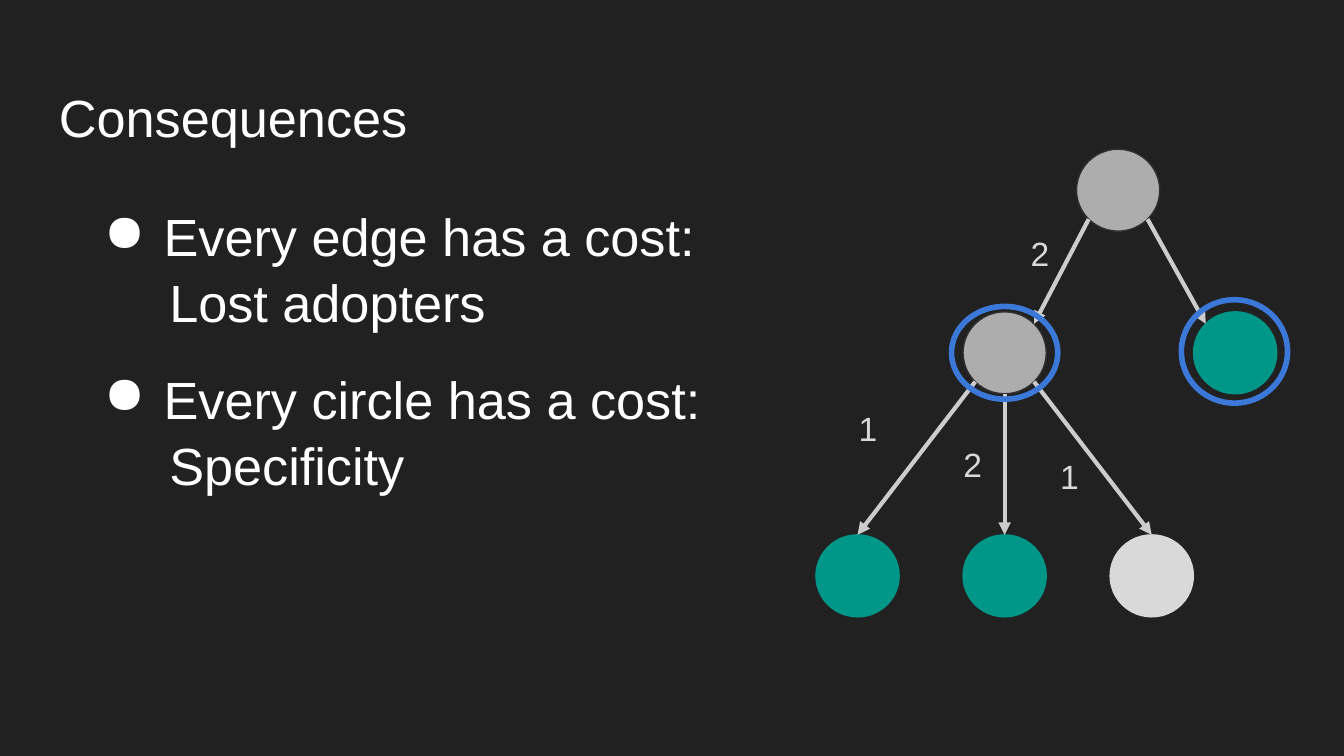
import math

import pptx
import pptx.dml.color
import pptx.enum.shapes
import pptx.enum.text
import pptx.oxml
import pptx.oxml.ns
import pptx.util

Pt = pptx.util.Pt
SHAPES = pptx.enum.shapes.MSO_SHAPE
ANCHORS = pptx.enum.text.MSO_ANCHOR

COLOURS = {
    "background": "212121",
    "text": "FFFFFF",
    "label": "D9D9D9",
    "inner": "ADADAD",
    "inner_line": "303030",
    "chosen": "009688",
    "other": "D9D9D9",
    "edge": "CCCCCC",
    "ring": "3C78D8",
}
NODE_WIDTH, NODE_HEIGHT = 44.6, 43.9


def colour(name):
    return pptx.dml.color.RGBColor.from_string(COLOURS[name])


def add_xml(parent, tag, **attributes):
    element = pptx.oxml.parse_xml(f"<a:{tag} {pptx.oxml.ns.nsdecls('a')}/>")
    for name, value in attributes.items():
        element.set(name, str(value))
    parent.append(element)
    return element


def write(paragraph, text, size=28, ink="text", spacing=1.0, margin=0, bullet=None):
    """Fill a paragraph; a bullet hangs to the left of the margin."""
    run = paragraph.add_run()
    run.text = text
    run.font.size = Pt(size)
    run.font.name = "Arial"
    run.font.color.rgb = colour(ink)
    paragraph.line_spacing = spacing
    properties = paragraph._p.get_or_add_pPr()
    properties.set("marL", str(Pt(margin)))
    properties.set("indent", str(Pt(-32 if bullet else 0)))
    if bullet:
        add_xml(add_xml(properties, "buClr"), "srgbClr", val=COLOURS[ink])
        add_xml(properties, "buChar", char=bullet)


class SlideBuilder:
    def __init__(self, slide):
        self.slide = slide
        slide.background.fill.solid()
        slide.background.fill.fore_color.rgb = colour("background")

    def text(self, left, top, width, height, lines, anchor=ANCHORS.TOP, inset_top=7.2):
        """Add a text box; lines holds pairs of text and format."""
        box = self.slide.shapes.add_textbox(Pt(left), Pt(top), Pt(width), Pt(height))
        frame = box.text_frame
        frame.word_wrap = True
        frame.vertical_anchor = anchor
        frame.margin_left = frame.margin_right = frame.margin_bottom = Pt(7.2)
        frame.margin_top = Pt(inset_top)
        for index, (line, style) in enumerate(lines):
            paragraph = frame.add_paragraph() if index else frame.paragraphs[0]
            write(paragraph, line, **style)

    def oval(self, centre, width, height, line, line_width, fill=None, kind=SHAPES.OVAL):
        x, y = centre
        shape = self.slide.shapes.add_shape(
            kind, Pt(x - width / 2), Pt(y - height / 2), Pt(width), Pt(height))
        shape.shadow.inherit = False
        if fill:
            shape.fill.solid()
            shape.fill.fore_color.rgb = colour(fill)
        else:
            shape.fill.background()
        shape.line.color.rgb = colour(line)
        shape.line.width = Pt(line_width)
        return shape

    def arrow(self, start, end, target=None):
        connector = self.slide.shapes.add_connector(
            pptx.enum.shapes.MSO_CONNECTOR.STRAIGHT, *(Pt(value) for value in start + end))
        if target is not None:
            connector.end_connect(target, 0)
        connector.line.color.rgb = colour("edge")
        connector.line.width = Pt(2.25)
        add_xml(connector.line._get_or_add_ln(), "tailEnd", type="triangle")
        add_xml(connector._element.spPr, "effectLst")


def rim(centre, degrees):
    """Point on a node's outline, clockwise from the right."""
    angle = math.radians(degrees)
    return (centre[0] + NODE_WIDTH / 2 * math.cos(angle),
            centre[1] + NODE_HEIGHT / 2 * math.sin(angle))


def main():
    presentation = pptx.Presentation()
    presentation.slide_width, presentation.slide_height = Pt(720), Pt(405)
    builder = SlideBuilder(presentation.slides.add_slide(presentation.slide_layouts[6]))

    # Title
    builder.text(24.5, 35.3, 671, 45.4, [("Consequences", {"spacing": 1.05})], inset_top=8.5)

    # Tree nodes: centre, fill, line
    centres = {"root": (599, 101.9), "hub": (538.2, 189), "side": (661.7, 189)}
    leaves = ["left", "middle", "right"]
    for column, leaf in enumerate(leaves):
        centres[leaf] = (459.4 + 78.8 * column, 308.5)
    fills = {"root": "inner", "hub": "inner", "right": "other"}
    nodes = {}
    for name, centre in centres.items():
        fill = fills.get(name, "chosen")
        line = "inner_line" if fill == "inner" else fill
        nodes[name] = builder.oval(centre, NODE_WIDTH, NODE_HEIGHT, line, 0.75, fill)

    # Edges
    builder.arrow(rim(centres["root"], 135), rim(centres["hub"], -45))
    builder.arrow(rim(centres["root"], 45), rim(centres["side"], -135))
    for leaf, degrees in zip(leaves, (135, 90, 45)):
        builder.arrow(rim(centres["hub"], degrees), rim(centres[leaf], -90), nodes[leaf])

    # Edge costs
    for cost, left, top in (("2", 545, 110.9), ("1", 452.9, 204.5),
                            ("2", 509, 223.9), ("1", 560.9, 230.4)):
        builder.text(left, top, 29.5, 49.7, [(cost, {"size": 18, "ink": "label"})],
                     anchor=ANCHORS.MIDDLE)

    # Rings around the chosen nodes
    for centre, height in ((centres["hub"], 49.7), ((661.3, 188.3), 55.4)):
        builder.oval(centre, 56.9, height, "ring", 3, kind=SHAPES.FLOWCHART_CONNECTOR)

    # Bullet points
    for top, heading, detail in ((99.4, "Every edge has a cost:", "Lost adopters"),
                                 (186.5, "Every circle has a cost:", "Specificity")):
        builder.text(44.6, top, 538.6, 73.4, [
            (heading, {"spacing": 1.05, "margin": 36, "bullet": "●"}),
            (detail, {"spacing": 1.05, "margin": 39}),
        ], inset_top=8.5)

    presentation.save("out.pptx")


if __name__ == "__main__":
    main()
